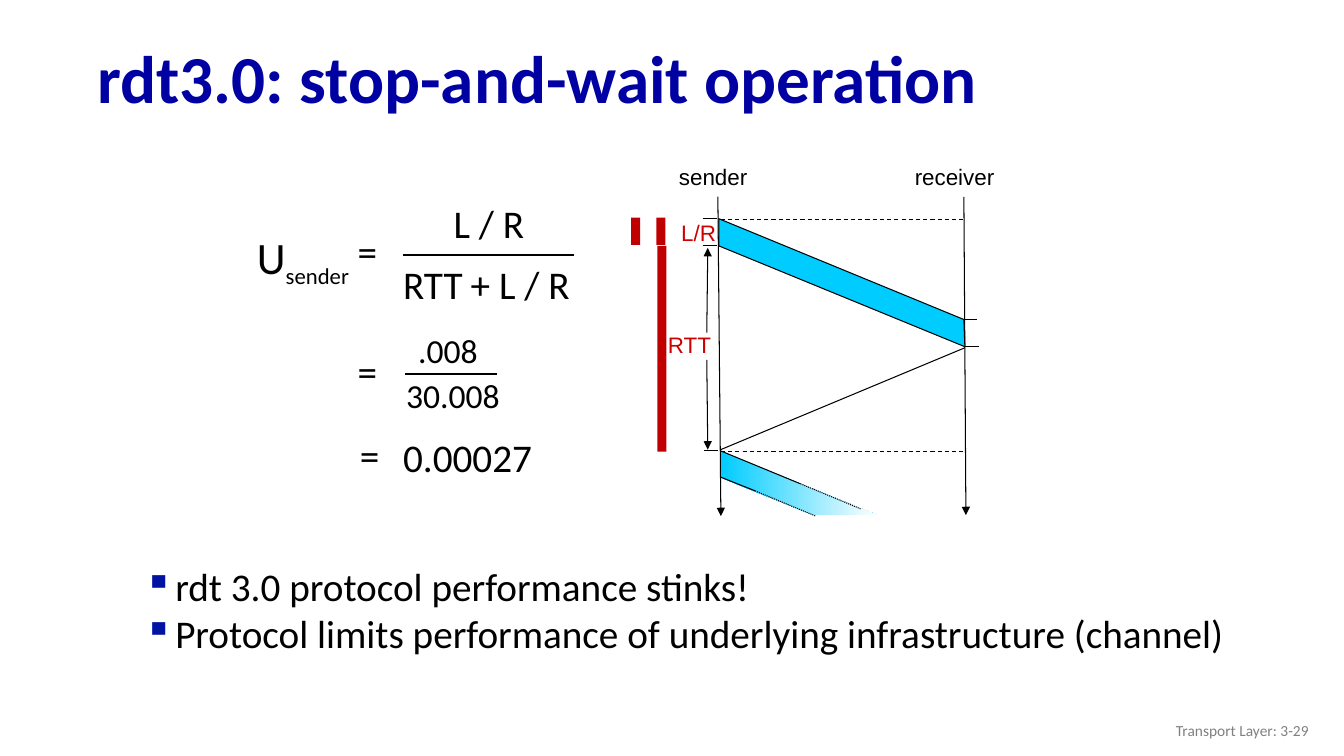
from dataclasses import dataclass

from lxml import etree
from pptx import Presentation
from pptx.dml.color import RGBColor
from pptx.enum.dml import MSO_LINE
from pptx.enum.shapes import MSO_CONNECTOR, MSO_SHAPE
from pptx.enum.text import MSO_ANCHOR, PP_ALIGN
from pptx.oxml.ns import qn
from pptx.util import Inches, Pt

STRAIGHT = MSO_CONNECTOR.STRAIGHT
RECTANGLE = MSO_SHAPE.RECTANGLE
DASH, DOTS = MSO_LINE.DASH, MSO_LINE.ROUND_DOT
LEFT, RIGHT = PP_ALIGN.LEFT, PP_ALIGN.RIGHT
TOP, MIDDLE = MSO_ANCHOR.TOP, MSO_ANCHOR.MIDDLE


@dataclass(frozen=True)
class Theme:
    """Colours, fonts and point sizes of the slide."""

    title: RGBColor = RGBColor(0x00, 0x00, 0xA3)
    bullet: str = "0013A3"
    ink: RGBColor = RGBColor(0, 0, 0)
    paper: RGBColor = RGBColor(255, 255, 255)
    packet: RGBColor = RGBColor(0x00, 0xCC, 0xFF)
    bar: RGBColor = RGBColor(0xC0, 0, 0)
    timing: RGBColor = RGBColor(0xCC, 0, 0)
    footer: RGBColor = RGBColor(0x80, 0x80, 0x80)
    body_font: str = "Calibri"
    label_font: str = "Arial"
    title_size: int = 48
    symbol_size: int = 32
    body_size: int = 28
    fraction_size: int = 24
    label_size: int = 16
    footer_size: int = 11
    thin: float = 0.75


THEME = Theme()


def style_font(font, size, color=THEME.ink, name=THEME.body_font):
    """Set size, colour and typeface of a font."""
    font.size = Pt(size)
    font.color.rgb = color
    font.name = name


def add_text(page, place, text, size, color=THEME.ink, name=THEME.body_font,
             align=LEFT, anchor=TOP, wrap=True):
    """Add a text box with one paragraph per line and return its frame."""
    box = page.shapes.add_textbox(*map(Inches, place))
    frame = box.text_frame
    frame.word_wrap = wrap
    frame.vertical_anchor = anchor
    frame.text = text
    for para in frame.paragraphs:
        para.alignment = align
        style_font(para.font, size, color, name)
    return frame


def add_label(page, place, text, color=THEME.ink):
    """Add a right-aligned diagram label."""
    add_text(page, place, text, THEME.label_size, color, THEME.label_font, RIGHT)


def add_term(page, left, top, width, text, size=THEME.body_size):
    """Add one unwrapped term of the formula and return its frame."""
    return add_text(page, (left, top, width, size / 49), text, size, wrap=False)


def add_line(page, start, end, width=THEME.thin, dash=None, arrow=False):
    """Add a straight black line, optionally dashed or with an arrowhead."""
    line = page.shapes.add_connector(STRAIGHT, *map(Inches, (*start, *end)))
    line.line.color.rgb = THEME.ink
    line.line.width = Pt(width)
    if dash:
        line.line.dash_style = dash
    if arrow:
        etree.SubElement(line.line._get_or_add_ln(), qn("a:tailEnd"), type="triangle")
    etree.SubElement(line._element.spPr, qn("a:effectLst"))


def add_block(page, place, color):
    """Add a plain filled rectangle."""
    block = page.shapes.add_shape(RECTANGLE, *map(Inches, place))
    block.shadow.inherit = False
    block.fill.solid()
    block.fill.fore_color.rgb = color
    block.line.fill.background()


def add_packet(page, corners, fading=False):
    """Add a packet band, outlined or fading to the right."""
    points = [tuple(map(Inches, corner)) for corner in corners]
    builder = page.shapes.build_freeform(*points[0], scale=1.0)
    builder.add_line_segments(points[1:], close=True)
    band = builder.convert_to_shape()
    band.shadow.inherit = False
    if fading:
        band.fill.gradient()
        band.fill.gradient_angle = 0
        for stop, color in zip(band.fill.gradient_stops, (THEME.packet, THEME.paper)):
            stop.color.rgb = color
        band.line.fill.background()
    else:
        band.fill.solid()
        band.fill.fore_color.rgb = THEME.packet
        band.line.color.rgb = THEME.ink
        band.line.width = Pt(THEME.thin)


def add_bullets(page, place, text):
    """Add a list with square coloured bullets."""
    frame = add_text(page, place, text, THEME.body_size)
    for para in frame.paragraphs:
        props = para._p.get_or_add_pPr()
        props.set("marL", str(Inches(0.31)))
        props.set("indent", str(Inches(-0.31)))
        bullet_color = etree.Element(qn("a:buClr"))
        etree.SubElement(bullet_color, qn("a:srgbClr"), val=THEME.bullet)
        bullet = etree.Element(qn("a:buChar"), char="▪")
        props.insert(0, bullet_color)
        props.insert(1, bullet)


def draw_timeline(page):
    """Draw the sender and receiver time axes with the packets between them."""
    add_line(page, (7.12, 1.94), (7.15, 5.12), arrow=True)
    add_line(page, (9.56, 1.95), (9.58, 5.11), arrow=True)
    for left, width, text in ((6.54, 0.97, "sender"), (8.93, 1.03, "receiver")):
        add_block(page, (left, 1.57, width, 0.38), THEME.paper)
        add_label(page, (left, 1.57, width, 0.38), text)
    for height in (2.18, 4.48):
        add_line(page, (7.15, height), (9.55, height), dash=DASH)
    add_line(page, (7.15, 4.46), (9.57, 3.45))
    add_packet(page, ((7.13, 2.17), (9.56, 3.17), (9.57, 3.44), (7.13, 2.44)))
    for left, height in ((6.97, 2.17), (6.97, 2.44), (6.98, 4.47),
                         (9.55, 3.17), (9.57, 3.44)):
        add_line(page, (left, height), (left + 0.14, height))
    add_packet(page, ((7.15, 4.48), (8.7, 5.11), (8.07, 5.11), (7.15, 4.74)), True)
    for start, middle, end in (((7.14, 4.47), (7.94, 4.8), (8.54, 5.05)),
                               ((7.14, 4.73), (7.49, 4.87), (8.09, 5.12))):
        add_line(page, start, middle)
        add_line(page, middle, end, dash=DOTS)


def draw_timing(page):
    """Mark the transmission time and the round trip beside the sender axis."""
    add_label(page, (6.22, 3.24, 0.93, 0.37), "RTT", THEME.timing)
    add_line(page, (7.01, 3.57), (7.02, 4.46), arrow=True)
    add_line(page, (7.01, 3.3), (7.02, 2.46), arrow=True)
    add_label(page, (6.27, 2.12, 0.93, 0.37), "L/R", THEME.timing)
    for left, top, height in ((6.52, 2.44, 2.04), (6.51, 2.16, 0.27), (6.26, 2.16, 0.27)):
        add_block(page, (left, top, 0.09, height), THEME.bar)


def draw_formula(page):
    """Write the utilization formula and its evaluation."""
    frame = add_term(page, 2.45, 2.23, 1.22, "U", THEME.symbol_size)
    span = frame.paragraphs[0].add_run()
    span.text = "sender"
    style_font(span.font, THEME.body_size)
    span.font._element.set("baseline", "-25000")
    for left, top in ((3.45, 2.21), (3.45, 3.4), (3.47, 4.23)):
        add_term(page, left, top, 0.4, "=")
    add_term(page, 4.4, 1.93, 0.91, "L / R")
    add_term(page, 3.9, 2.53, 0.8, "RTT")
    add_term(page, 4.57, 2.53, 1.2, "+ L / R")
    add_line(page, (4, 2.53), (5.69, 2.53), 1.75)
    add_term(page, 4.05, 3.22, 0.8, ".008", THEME.fraction_size)
    add_term(page, 3.93, 3.67, 1.14, "30.008", THEME.fraction_size)
    add_line(page, (4.02, 3.71), (4.93, 3.71), 1.5)
    add_term(page, 3.9, 4.25, 1.5, "0.00027")


def main():
    """Build the slide and save the deck."""
    deck = Presentation()
    deck.slide_width, deck.slide_height = Inches(13.33), Inches(7.5)
    page = deck.slides.add_slide(deck.slide_layouts[6])
    title = add_text(page, (0.87, 0.32, 12.14, 0.98), "rdt3.0: stop-and-wait operation",
                     THEME.title_size, THEME.title, anchor=MIDDLE).paragraphs[0]
    title.font.bold = True
    title.line_spacing = 0.9
    draw_timeline(page)
    draw_formula(page)
    draw_timing(page)
    add_bullets(page, (1.33, 5.53, 11.15, 1.35),
                "rdt 3.0 protocol performance stinks!\n"
                "Protocol limits performance of underlying infrastructure (channel)")
    add_text(page, (10.08, 7.05, 3, 0.4), "Transport Layer: 3-29", THEME.footer_size,
             THEME.footer, align=RIGHT, anchor=MIDDLE)
    deck.save("out.pptx")


if __name__ == "__main__":
    main()
